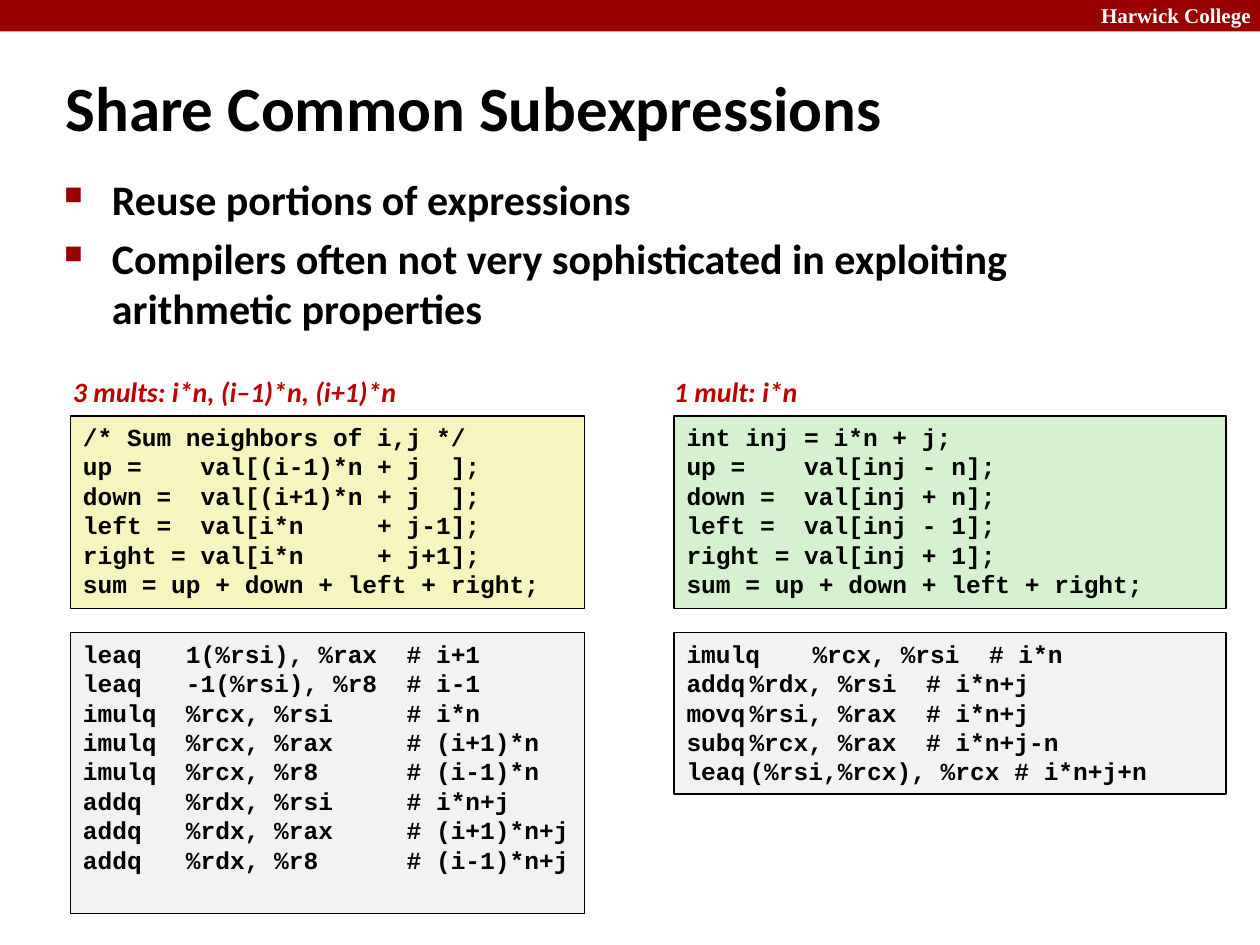
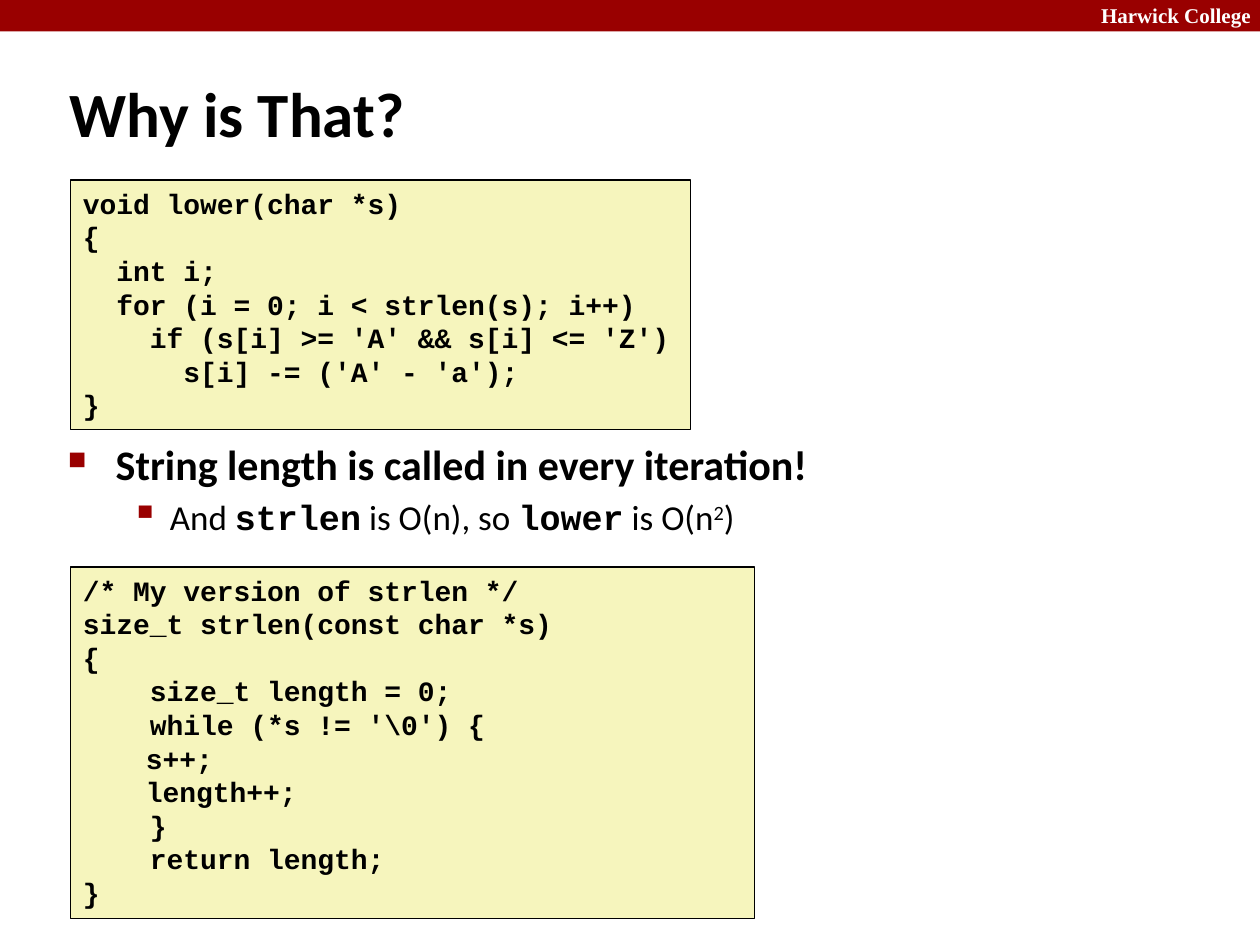
"""Build two slides on common subexpressions and string length."""
import pptx
import pptx.util
import pptx.dml.color
import pptx.enum.text
import pptx.enum.shapes
import pptx.oxml.ns
from lxml import etree

INK, WHITE, BAND, RED = "000000", "FFFFFF", "990000", "C00000"
CREAM, MINT, GRAY = "F6F5BD", "D5F1CF", "F2F2F2"

SANS = {"name": "Calibri", "color": INK}
TITLE = {**SANS, "size": 36, "bold": True}
HEAD = {**SANS, "size": 24, "bold": True}
SUB = {**SANS, "size": 20, "bold": False}
SUP = {**SUB, "base": 30}
MONO = {"name": "Courier New", "color": INK, "bold": True}
SMALL, LARGE, INLINE = ({**MONO, "size": n} for n in (14, 16, 20))
NOTE = {**SANS, "size": 16, "bold": True, "italic": True, "color": RED}
MARK = {"name": "Times New Roman", "size": 12, "bold": True, "color": WHITE}

LEVELS = [
    {"left": 0.38, "hang": 0.38, "gap": 4.8, "char": "■", "pct": 60},
    {"left": 0.81, "hang": 0.31, "gap": 4, "char": "▪", "pct": 110},
]
OWNER = "Harwick College"
LEFT, RIGHT = 0.56, 5.35

SUM = """\
/* Sum neighbors of i,j */
up =    val[(i-1)*n + j  ];
down =  val[(i+1)*n + j  ];
left =  val[i*n     + j-1];
right = val[i*n     + j+1];
sum = up + down + left + right;"""
SHARED = """\
int inj = i*n + j;
up =    val[inj - n];
down =  val[inj + n];
left =  val[inj - 1];
right = val[inj + 1];
sum = up + down + left + right;"""
SUM_ASM = """\
leaq   1(%rsi), %rax  # i+1
leaq   -1(%rsi), %r8  # i-1
imulq  %rcx, %rsi     # i*n
imulq  %rcx, %rax     # (i+1)*n
imulq  %rcx, %r8      # (i-1)*n
addq   %rdx, %rsi     # i*n+j
addq   %rdx, %rax     # (i+1)*n+j
addq   %rdx, %r8      # (i-1)*n+j"""
SHARED_ASM = """\
imulq\t%rcx, %rsi  # i*n
addq\t%rdx, %rsi  # i*n+j
movq\t%rsi, %rax  # i*n+j
subq\t%rcx, %rax  # i*n+j-n
leaq\t(%rsi,%rcx), %rcx # i*n+j+n"""
LOWER = """\
void lower(char *s)
{
  int i;
  for (i = 0; i < strlen(s); i++)
    if (s[i] >= 'A' && s[i] <= 'Z')
      s[i] -= ('A' - 'a');
}"""
STRLEN = """\
/* My version of strlen */
size_t strlen(const char *s)
{
    size_t length = 0;
    while (*s != '\\0') {
\ts++;
\tlength++;
    }
    return length;
}"""

SLIDES = [
    {
        "title": ("Share Common Subexpressions", (0.42, 0.26, 9.17, 1.16)),
        "list": (0.41, 1.33, 9.09, 1.67),
        "points": [
            (0, [("Reuse portions of expressions", HEAD)]),
            (0, [("Compilers often not very sophisticated in exploiting "
                  "arithmetic properties", HEAD)]),
        ],
        "notes": [
            ("3 mults: i*n, (i–1)*n, (i+1)*n", (0.48, 2.92, 2.91, 0.37)),
            ("1 mult: i*n", (5.25, 2.92, 1.25, 0.37)),
        ],
        "code": [
            (SUM, SMALL, CREAM, (LEFT, 3.3, 4.08, 1.53)),
            (SHARED, SMALL, MINT, (RIGHT, 3.3, 4.38, 1.53)),
            (SUM_ASM, SMALL, GRAY, (LEFT, 5.02, 4.08, 2.23)),
            (SHARED_ASM, SMALL, GRAY, (RIGHT, 5.02, 4.38, 1.28)),
        ],
    },
    {
        "title": ("Why is That?", (0.45, 0.48, 8.3, 0.83)),
        "list": (0.44, 3.43, 8.64, 1.07),
        "points": [
            (0, [("String length is called in every iteration!", HEAD)]),
            (1, [("And ", SUB), ("strlen", INLINE), (" is O(n), so ", SUB),
                 ("lower", INLINE), (" is O(n", SUB), ("2", SUP), (")", SUB)]),
        ],
        "notes": [],
        "code": [
            (LOWER, LARGE, CREAM, (LEFT, 1.43, 4.92, 1.98)),
            (STRLEN, LARGE, CREAM, (LEFT, 4.5, 5.43, 2.79)),
        ],
    },
]


def paint(code):
    return pptx.dml.color.RGBColor.from_string(code)


def place(box):
    return [pptx.util.Inches(n) for n in box]


def style(run, look):
    for key, val in look.items():
        if key == "color":
            run.font.color.rgb = paint(val)
        elif key == "base":
            run._r.get_or_add_rPr().set("baseline", str(val * 1000))
        else:
            setattr(run.font, key, pptx.util.Pt(val) if key == "size" else val)


def write(shape, rows, anchor="TOP"):
    frame = shape.text_frame
    form = {
        "word_wrap": True,
        "auto_size": pptx.enum.text.MSO_AUTO_SIZE.NONE,
        "vertical_anchor": getattr(pptx.enum.text.MSO_ANCHOR, anchor),
    }
    for key, val in form.items():
        setattr(frame, key, val)
    for i, row in enumerate(rows):
        para = frame.add_paragraph() if i else frame.paragraphs[0]
        para.alignment = pptx.enum.text.PP_ALIGN.LEFT
        for text, look in row:
            run = para.add_run()
            run.text = text
            style(run, look)
    return frame


def label(slide, text, look, box):
    return write(slide.shapes.add_textbox(*place(box)), [[(text, look)]])


def block(slide, fill, box, line=None):
    kind = pptx.enum.shapes.MSO_SHAPE.RECTANGLE
    shape = slide.shapes.add_shape(kind, *place(box))
    shape.shadow.inherit = False
    shape.fill.solid()
    shape.fill.fore_color.rgb = paint(fill)
    if line:
        shape.line.color.rgb = paint(line)
        shape.line.width = pptx.util.Pt(1)
    else:
        shape.line.fill.background()
    return shape


def bullet(para, level):
    form = LEVELS[level]
    para.level = level
    para.space_before = pptx.util.Pt(form["gap"])
    props = para._p.get_or_add_pPr()
    props.set("marL", str(pptx.util.Inches(form["left"])))
    props.set("indent", str(-pptx.util.Inches(form["hang"])))
    tag = pptx.oxml.ns.qn
    tint = etree.SubElement(props, tag("a:buClr"))
    etree.SubElement(tint, tag("a:srgbClr"), val=BAND)
    etree.SubElement(props, tag("a:buSzPct"), val=str(form["pct"] * 1000))
    etree.SubElement(props, tag("a:buChar"), char=form["char"])


def build(deck, data):
    slide = deck.slides.add_slide(deck.slide_layouts[5])
    block(slide, BAND, (0, 0, 10, 0.25))
    label(slide, OWNER, MARK, (8.64, -0.03, 1.36, 0.3)).margin_right = 0

    text, box = data["title"]
    title = slide.shapes.title
    sides = ("left", "top", "width", "height")
    for side, val in zip(sides, place(box)):
        setattr(title, side, val)
    write(title, [[(text, TITLE)]], "MIDDLE")

    points = data["points"]
    area = slide.shapes.add_textbox(*place(data["list"]))
    frame = write(area, [runs for _, runs in points])
    for para, (level, _) in zip(frame.paragraphs, points):
        bullet(para, level)

    for text, look, fill, box in data["code"]:
        rows = [[(row, look)] for row in text.split("\n")]
        write(block(slide, fill, box, INK), rows)
    for text, box in data["notes"]:
        label(slide, text, NOTE, box)


def main():
    deck = pptx.Presentation()
    deck.slide_width, deck.slide_height = place((10, 7.5))
    for data in SLIDES:
        build(deck, data)
    deck.save("out.pptx")


if __name__ == "__main__":
    main()
